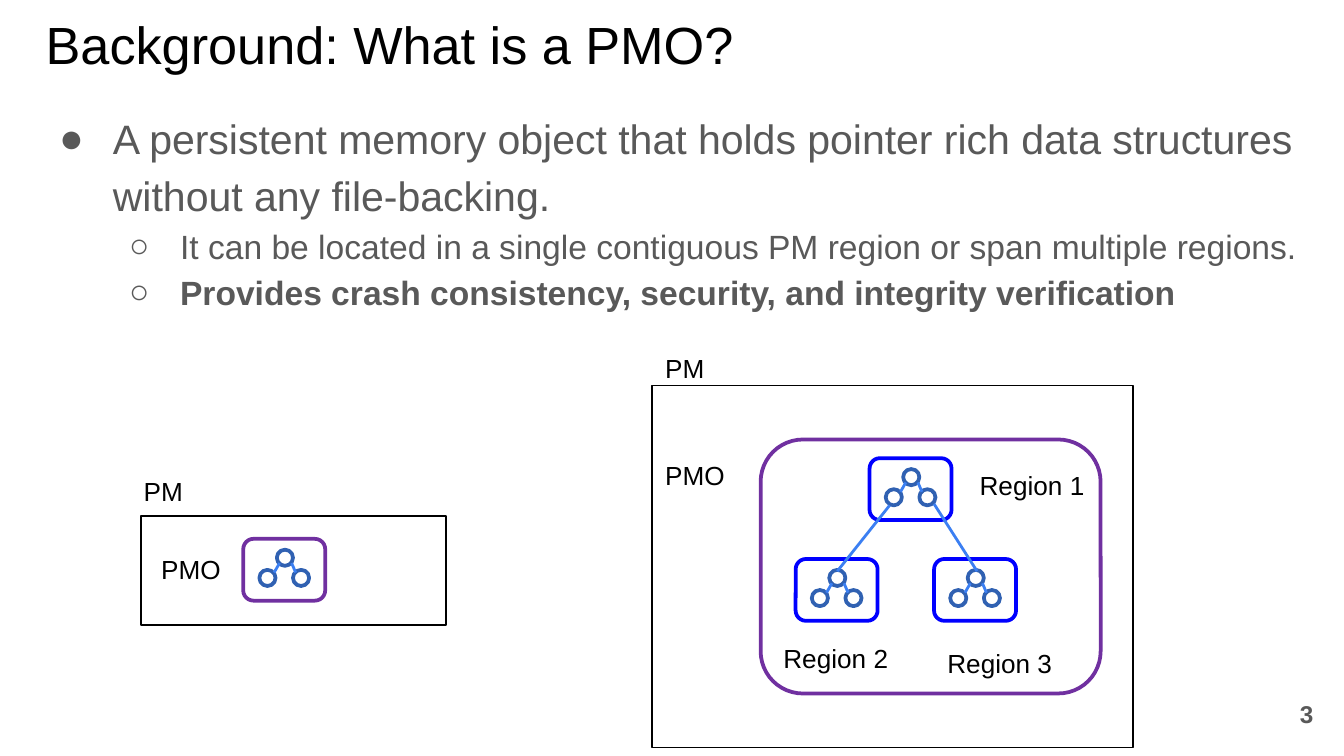
from lxml import etree
from pptx import Presentation
from pptx.dml.color import RGBColor
from pptx.enum.shapes import MSO_CONNECTOR, MSO_SHAPE
from pptx.enum.text import MSO_ANCHOR, MSO_AUTO_SIZE, PP_ALIGN
from pptx.oxml.ns import qn
from pptx.util import Inches, Pt

RECT, ROUNDED, OVAL = MSO_SHAPE.RECTANGLE, MSO_SHAPE.ROUNDED_RECTANGLE, MSO_SHAPE.OVAL
STRAIGHT = MSO_CONNECTOR.STRAIGHT
TOP, MIDDLE = MSO_ANCHOR.TOP, MSO_ANCHOR.MIDDLE
LEFT, RIGHT = PP_ALIGN.LEFT, PP_ALIGN.RIGHT
FIXED = MSO_AUTO_SIZE.NONE

# Content
TITLE = "Background: What is a PMO?"
POINTS = [  # text, level, bold
    ("A persistent memory object that holds pointer rich data structures "
     "without any file-backing.", 0, False),
    ("It can be located in a single contiguous PM region or span multiple regions.", 1, False),
    ("Provides crash consistency, security, and integrity verification", 1, True),
]
PAGE_NUMBER = "3"
LABELS = [  # text, left, top
    ("PM", 0.97, 3.44), ("PMO", 1.1, 4.02),
    ("PM", 4.85, 2.52), ("PMO", 4.85, 3.32),
    ("Region 1", 7.19, 3.39), ("Region 2", 5.73, 4.68), ("Region 3", 6.95, 4.72),
]
MEMORIES = [(1.05, 3.84, 2.27, 0.81), (4.85, 2.87, 3.58, 2.69)]
SPANNING_PMO = (5.66, 3.27, 2.53, 1.89)
REGIONS = [  # left, top, outline colour
    (1.81, 4.01, "pmo"), (6.47, 3.41, "region"),
    (5.92, 4.16, "region"), (6.95, 4.16, "region"),
]
REGION_LINKS = [(6.62, 3.76, 6.23, 4.25), (6.95, 3.75, 7.27, 4.25)]

# Pointer tree, measured from the corner of its region
REGION_W, REGION_H, NODE = 0.61, 0.46, 0.12
TREE_NODES = [(0.25, 0.08), (0.12, 0.23), (0.37, 0.23)]
TREE_LINKS = [(0.27, 0.18, 0.23, 0.25), (0.36, 0.18, 0.39, 0.25)]

THEME = {
    "font": "Arial",
    "color": {"ink": "000000", "body": "595959", "pmo": "7030A0",
              "region": "0000FF", "node": "3061B2", "link": "3B7FF2"},
    "size": {"title": 28, "levels": (22, 18), "label": 14, "page": 13},
    "line": {"thin": 0.75, "link": 1.5, "thick": 2},
}
BULLETS = [("●", 0.5, -0.4), ("○", 1, -0.38)]  # character, margin, indent


def color(name):
    return RGBColor.from_string(THEME["color"][name])


def write(paragraph, text, size, ink="ink", bold=False, align=LEFT, spacing=1.0):
    paragraph.alignment = align
    paragraph.line_spacing = spacing
    paragraph.space_before = paragraph.space_after = Pt(0)
    run = paragraph.add_run()
    run.text = text
    run.font.name = THEME["font"]
    run.font.size = Pt(size)
    run.font.bold = bold
    run.font.color.rgb = color(ink)


def set_frame(shape, box, inset=0.1, anchor=TOP):
    shape.left, shape.top, shape.width, shape.height = map(Inches, box)
    frame = shape.text_frame
    frame.word_wrap = True
    frame.auto_size = FIXED
    frame.vertical_anchor = anchor
    frame.margin_left = frame.margin_right = Inches(0.1)
    frame.margin_top = frame.margin_bottom = Inches(inset)
    return frame


def add_text_box(slide, box, anchor=TOP):
    return set_frame(slide.shapes.add_textbox(*map(Inches, box)), box, anchor=anchor)


def add_bullet(paragraph, level):
    character, margin, indent = BULLETS[level]
    paragraph.level = level
    props = paragraph._p.get_or_add_pPr()
    props.set("marL", str(Inches(margin)))
    props.set("indent", str(Inches(indent)))
    bullet_color = etree.SubElement(props, qn("a:buClr"))
    etree.SubElement(bullet_color, qn("a:srgbClr"), val=THEME["color"]["body"])
    etree.SubElement(props, qn("a:buFont"), typeface=THEME["font"])
    etree.SubElement(props, qn("a:buChar"), char=character)


def add_outline(slide, kind, box, ink, weight):
    outline = slide.shapes.add_shape(kind, *map(Inches, box))
    outline.shadow.inherit = False
    outline.fill.background()
    outline.line.color.rgb = color(ink)
    outline.line.width = Pt(THEME["line"][weight])


def add_link(slide, ends):
    link = slide.shapes.add_connector(STRAIGHT, *map(Inches, ends))
    link.line.color.rgb = color("link")
    link.line.width = Pt(THEME["line"]["link"])
    etree.SubElement(link._element.spPr, qn("a:effectLst"))


def add_region(slide, left, top, ink):
    for x, y in TREE_NODES:
        add_outline(slide, OVAL, (left + x, top + y, NODE, NODE), "node", "thick")
    for x1, y1, x2, y2 in TREE_LINKS:
        add_link(slide, (left + x1, top + y1, left + x2, top + y2))
    add_outline(slide, ROUNDED, (left, top, REGION_W, REGION_H), ink, "thick")


def main():
    sizes = THEME["size"]
    deck = Presentation()
    deck.slide_width = Inches(10)
    deck.slide_height = deck.slide_width * 9 // 16
    slide = deck.slides.add_slide(deck.slide_layouts[1])

    # Title and bullet list
    heading = set_frame(slide.shapes.title, (0.24, 0.04, 9.72, 0.6), inset=0.05)
    write(heading.paragraphs[0], TITLE, sizes["title"])
    points = set_frame(slide.placeholders[1], (0.24, 0.74, 9.72, 1.96), inset=0.05)
    for index, (text, level, bold) in enumerate(POINTS):
        paragraph = points.add_paragraph() if index else points.paragraphs[0]
        add_bullet(paragraph, level)
        write(paragraph, text, sizes["levels"][level], ink="body", bold=bold, spacing=1.15)

    # Memories, objects and regions
    for box in MEMORIES:
        add_outline(slide, RECT, box, "ink", "thin")
    add_outline(slide, ROUNDED, SPANNING_PMO, "pmo", "thick")
    for left, top, ink in REGIONS:
        add_region(slide, left, top, ink)
    for ends in REGION_LINKS:
        add_link(slide, ends)

    # Labels and page number
    for text, left, top in LABELS:
        label = add_text_box(slide, (left, top, 1.05, 0.44))
        write(label.paragraphs[0], text, sizes["label"])
    page = add_text_box(slide, (9.27, 5.1, 0.6, 0.43), anchor=MIDDLE)
    write(page.paragraphs[0], PAGE_NUMBER, sizes["page"], ink="body", bold=True, align=RIGHT)

    deck.save("out.pptx")


if __name__ == "__main__":
    main()
